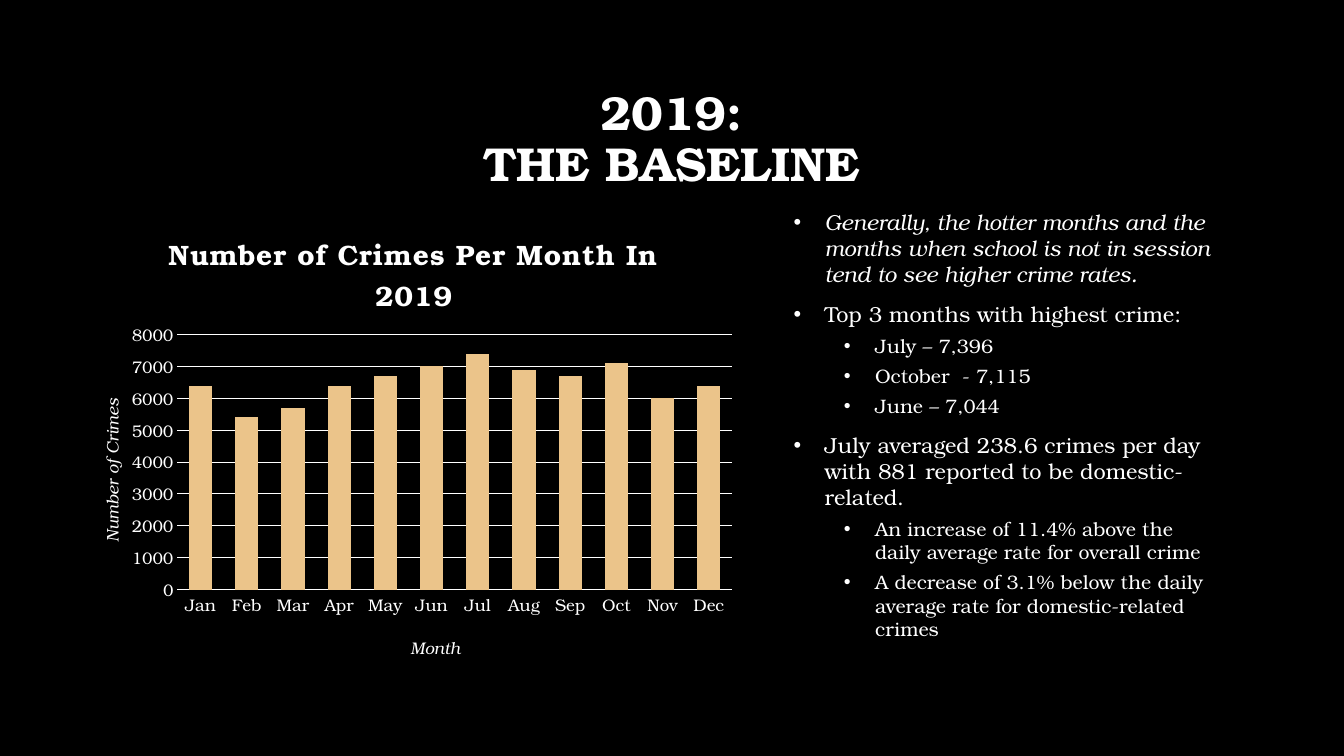
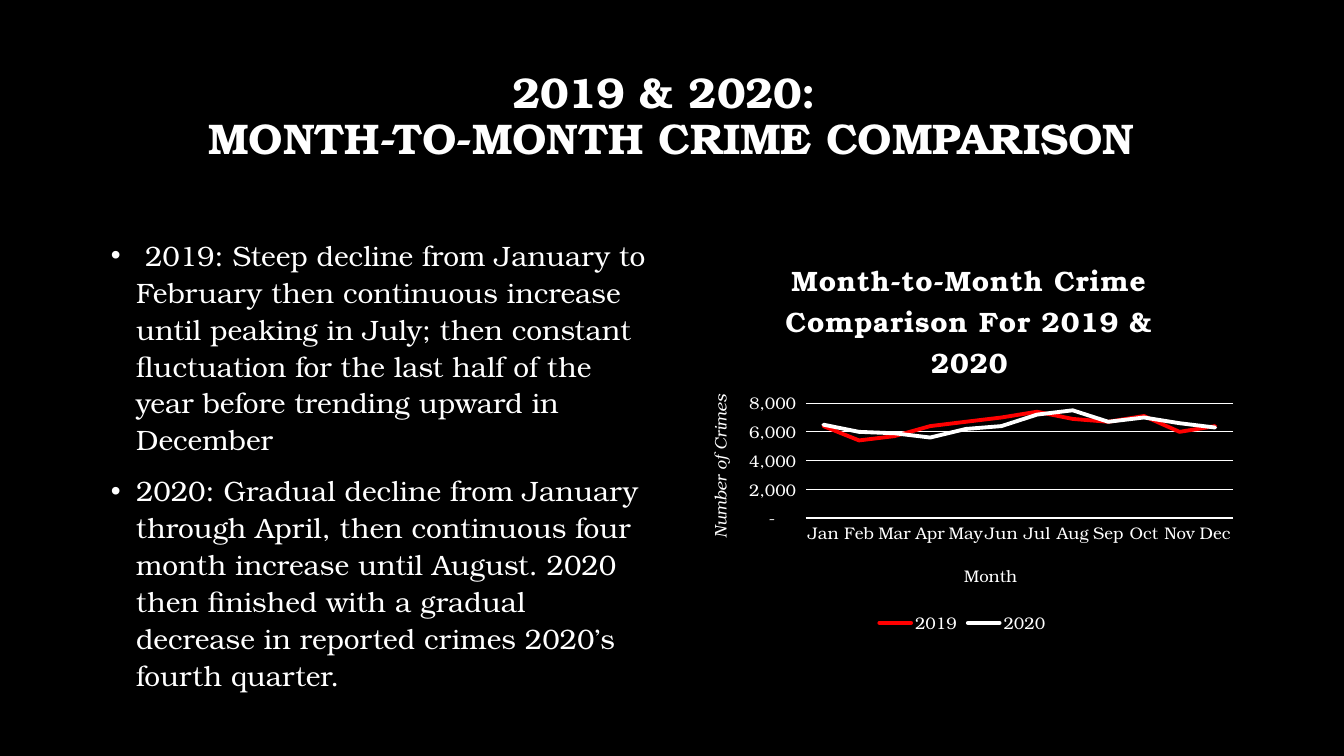
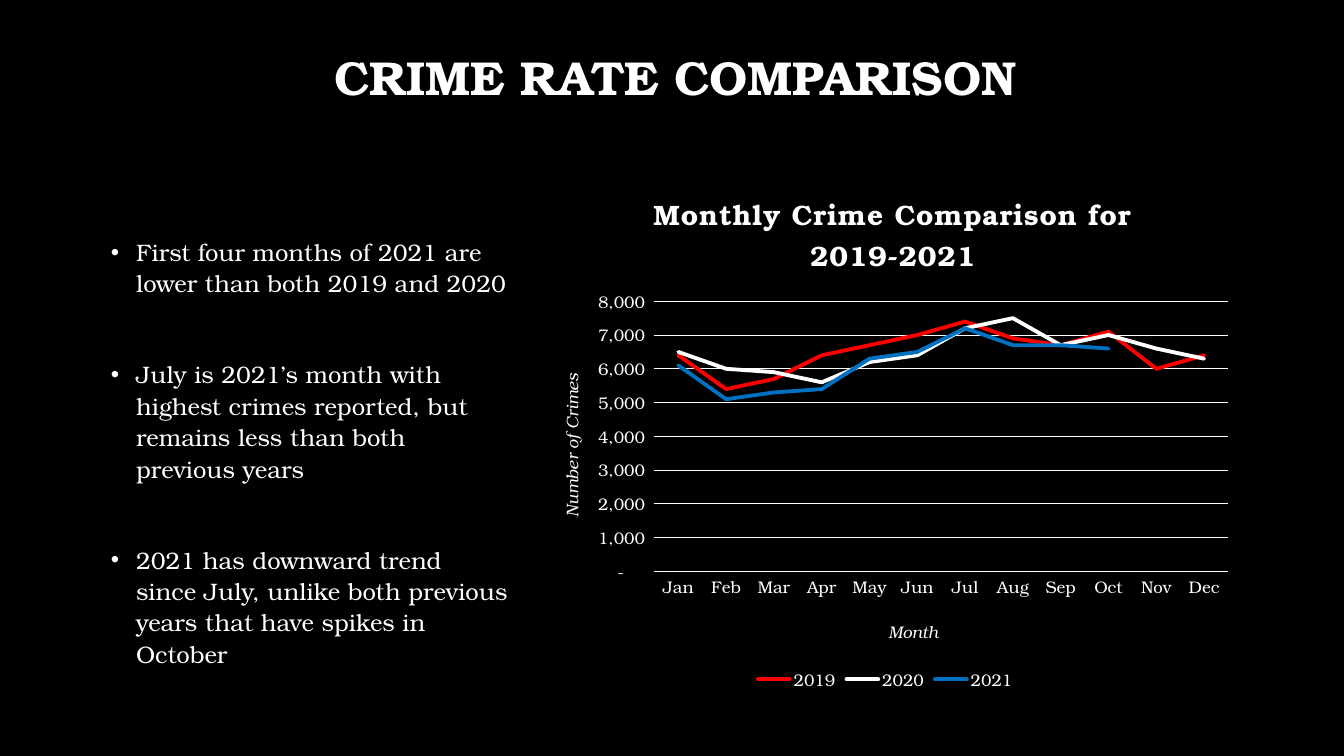
import pptx
import pptx.util
import pptx.chart.data
import pptx.dml.color
import pptx.enum.chart
import pptx.enum.text
import pptx.oxml
import pptx.oxml.ns

Inches, Pt = pptx.util.Inches, pptx.util.Pt
qn = pptx.oxml.ns.qn
KIND = pptx.enum.chart.XL_CHART_TYPE

# Shared look
FACE = "TeX Gyre Bonum"
BLACK, WHITE, SAND, RED, BLUE = "000000", "FFFFFF", "EBC48A", "FF0000", "0070C0"
COMMA = '_(* #,##0_);_(* \\(#,##0\\);_(* "-"??_);_(@_)'

# Shared data
MONTHS = "Jan Feb Mar Apr May Jun Jul Aug Sep Oct Nov Dec".split()
Y2019 = [6400, 5400, 5700, 6400, 6700, 7000, 7400, 6900, 6700, 7100, 6000, 6400]
Y2020 = [6500, 6000, 5900, 5600, 6200, 6400, 7200, 7500, 6700, 7000, 6600, 6300]
Y2021 = [6100, 5100, 5300, 5400, 6300, 6500, 7200, 6700, 6700, 6600, None, None]


def color(code):
    return pptx.dml.color.RGBColor.from_string(code)


def apply(item, form):
    for name, value in form.items():
        setattr(item, name, value)


def style(font, size, **form):
    apply(font, {"name": FACE, "size": Pt(size), **form})
    font.color.rgb = color(WHITE)


def stroke(line, code, width):
    line.color.rgb = color(code)
    line.width = Pt(width)


def move(shape, box):
    apply(shape, dict(zip(("left", "top", "width", "height"), map(Inches, box))))


def add_title(slide, text, box, size=34, below=0.05):
    shape = slide.shapes.title
    move(shape, box)
    frame = shape.text_frame
    frame.text = text
    apply(frame, {
        "word_wrap": True,
        "auto_size": pptx.enum.text.MSO_AUTO_SIZE.NONE,
        "vertical_anchor": pptx.enum.text.MSO_ANCHOR.MIDDLE,
        "margin_bottom": Inches(below),
    })
    para = frame.paragraphs[0]
    apply(para, {"alignment": pptx.enum.text.PP_ALIGN.CENTER, "line_spacing": 0.9})
    for run in para.runs:
        style(run.font, size, bold=True)


def bullet(para, left, hang):
    props = para._p.get_or_add_pPr()
    props.set("marL", str(Inches(left)))
    props.set("indent", str(-Inches(hang)))
    props.append(pptx.oxml.parse_xml(
        '<a:buChar %s char="\u2022"/>' % pptx.oxml.ns.nsdecls("a")))


def add_list(slide, items, box, sizes, hang=0.25, space=1.1, gap=10):
    """Items are (level, text, italic); gap is the space between top items."""
    shape = slide.placeholders[1]
    move(shape, box)
    frame = shape.text_frame
    apply(frame, {"word_wrap": True, "auto_size": pptx.enum.text.MSO_AUTO_SIZE.NONE})
    for i, (level, text, slant) in enumerate(items):
        para = frame.add_paragraph() if i else frame.paragraphs[0]
        before = 5 if level else gap if i else 10
        apply(para, {"level": level, "line_spacing": space, "space_before": Pt(before)})
        bullet(para, hang + level / 2, hang)
        run = para.add_run()
        run.text = text
        style(run.font, sizes[level], italic=slant)


def place(part, index, box, spot):
    """Fix a chart part at a spot given in slide inches."""
    for old in part.findall(qn("c:layout")):
        part.remove(old)
    left, top, wide, high = box
    values = [(spot[0] - left) / wide, (spot[1] - top) / high]
    values += [n / full for n, full in zip(spot[2:], (wide, high))]
    inner = '<c:layoutTarget val="inner"/>' if len(spot) == 4 else ""
    modes = '<c:xMode val="edge"/><c:yMode val="edge"/>'
    sides = "".join('<c:%s val="%.4f"/>' % pair for pair in zip("xywh", values))
    part.insert(index, pptx.oxml.parse_xml(
        "<c:layout %s><c:manualLayout>%s%s%s</c:manualLayout></c:layout>"
        % (pptx.oxml.ns.nsdecls("c"), inner, modes, sides)))


def label(frame, text, size, **form):
    frame.text = text
    font = frame.paragraphs[0].runs[0].font
    style(font, size, **form)
    return font


def set_axes(chart, step, slant, fmt):
    months, counts = chart.category_axis, chart.value_axis
    for axis, text, tilt in ((months, "Month", slant), (counts, "Number of Crimes", True)):
        label(axis.axis_title.text_frame, text, 12, bold=False, italic=tilt)
        style(axis.tick_labels.font, 12)
        axis.major_tick_mark = pptx.enum.chart.XL_TICK_MARK.NONE
    turn = counts.axis_title.text_frame._txBody.bodyPr
    turn.set("rot", "-5400000")
    turn.set("vert", "horz")
    stroke(months.format.line, WHITE, 1)
    counts.format.line.fill.background()
    apply(counts, {"minimum_scale": 0, "maximum_scale": 8000, "major_unit": step,
                   "has_major_gridlines": True})
    stroke(counts.major_gridlines.format.line, WHITE, 0.75)
    apply(counts.tick_labels, {"number_format": fmt, "number_format_is_linked": False})


def add_chart(slide, kind, title, series, box, spots, step=1000, slant=True, fmt=COMMA):
    """Series are (name, values, colour); spots hold title, axis titles and plot."""
    data = pptx.chart.data.CategoryChartData()
    data.categories = MONTHS
    for name, values, _ in series:
        data.add_series(name, values)
    chart = slide.shapes.add_chart(kind, *map(Inches, box), data).chart
    style(chart.font, 10)
    font = label(chart.chart_title.text_frame, title, 20, bold=True)
    font._element.set("spc", "50")
    set_axes(chart, step, slant, fmt)

    # Series and legend
    plot = chart.plots[0]
    plot.vary_by_categories = False
    chart.has_legend = kind == KIND.LINE
    for item, (_, _, code) in zip(plot.series, series):
        if kind == KIND.LINE:
            item.smooth = False
            stroke(item.format.line, code, 2.75)
            item.format.line._get_or_add_ln().set("cap", "rnd")
        else:
            item.format.fill.solid()
            item.format.fill.fore_color.rgb = color(code)
    if chart.has_legend:
        apply(chart.legend, {"position": pptx.enum.chart.XL_LEGEND_POSITION.BOTTOM,
                             "include_in_layout": False})
        style(chart.legend.font, 12)
    else:
        apply(plot, {"gap_width": 100, "overlap": -24})

    # Fixed spots
    root = chart._chartSpace
    for part, spot in zip(root.iter(qn("c:title")), spots):
        place(part, 1, box, spot)
    place(next(root.iter(qn("c:plotArea"))), 0, box, spots[3])


def baseline(slide):
    add_title(slide, "2019:\vTHE BASELINE", (1, 0.67, 11.32, 1.45))
    add_list(slide, [
        (0, "Generally, the hotter months and the months when school is not in "
            "session tend to see higher crime rates.", True),
        (0, "Top 3 months with highest crime:", False),
        (1, "July \u2013 7,396", False),
        (1, "October  - 7,115", False),
        (1, "June \u2013 7,044", False),
        (0, "July averaged 238.6 crimes per day with 881 reported to be "
            "domestic-related.", False),
        (1, "An increase of 11.4% above the daily average rate for overall crime", False),
        (1, "A decrease of 3.1% below the daily average rate for domestic-related "
            "crimes", False),
    ], (7.77, 2.02, 4.43, 4.51), (15.5, 13.9), hang=0.31, space=1.0)
    add_chart(slide, KIND.COLUMN_CLUSTERED, "Number of Crimes Per Month In 2019",
              [("Series 1", Y2019, SAND)], (0.68, 2.02, 6.72, 4.66),
              [(1.62, 2.23), (4.04, 6.27), (0.95, 3.92), (1.76, 3.32, 5.5, 2.53)],
              fmt="General")


def pair(slide):
    add_title(slide, "2019 & 2020: \vMONTH-TO-MONTH CRIME COMPARISON",
              (1, 0.67, 11.32, 1.45), size=30.6, below=0.51)
    add_list(slide, [
        (0, " 2019: Steep decline from January to February then continuous increase "
            "until peaking in July; then constant fluctuation for the last half of "
            "the year before trending upward in December", False),
        (0, "2020: Gradual decline from January through April, then continuous four "
            "month increase until August. 2020 then finished with a gradual decrease "
            "in reported crimes 2020\u2019s fourth quarter.", False),
    ], (1, 2.28, 5.58, 4.05), (20,))
    add_chart(slide, KIND.LINE, "Month-to-Month Crime Comparison For 2019 & 2020",
              [("2019", Y2019, RED), ("2020", Y2020, WHITE)], (6.76, 2.28, 5.57, 4.05),
              [(7.74, 2.49), (9.53, 5.55), (6.98, 3.88), (7.99, 4, 4.24, 1.14)],
              step=2000, slant=False)


def years(slide):
    add_title(slide, "CRIME RATE COMPARISON", (1.2, 0.31, 11, 0.97))
    add_list(slide, [
        (0, "First four months of 2021 are lower than both 2019 and 2020", False),
        (0, "July is 2021\u2019s month with highest crimes reported, but remains less "
            "than both previous years", False),
        (0, "2021 has downward trend since July, unlike both previous years that have "
            "spikes in October ", False),
    ], (1, 2.28, 4.15, 4.05), (17,), gap=42.5)
    add_chart(slide, KIND.LINE, "Monthly Crime Comparison for 2019-2021",
              [("2019", Y2019, RED), ("2020", Y2020, WHITE), ("2021", Y2021, BLUE)],
              (5.24, 1.57, 7.08, 5.32),
              [(6.43, 1.83), (8.78, 6.11), (5.51, 3.67), (6.49, 2.99, 5.69, 2.68)])


def main():
    deck = pptx.Presentation()
    apply(deck, {"slide_width": Inches(13.33), "slide_height": Inches(7.5)})
    back = deck.slide_master.background.fill
    back.solid()
    back.fore_color.rgb = color(BLACK)
    for build in (baseline, pair, years):
        build(deck.slides.add_slide(deck.slide_layouts[1]))
    deck.save("out.pptx")


main()
